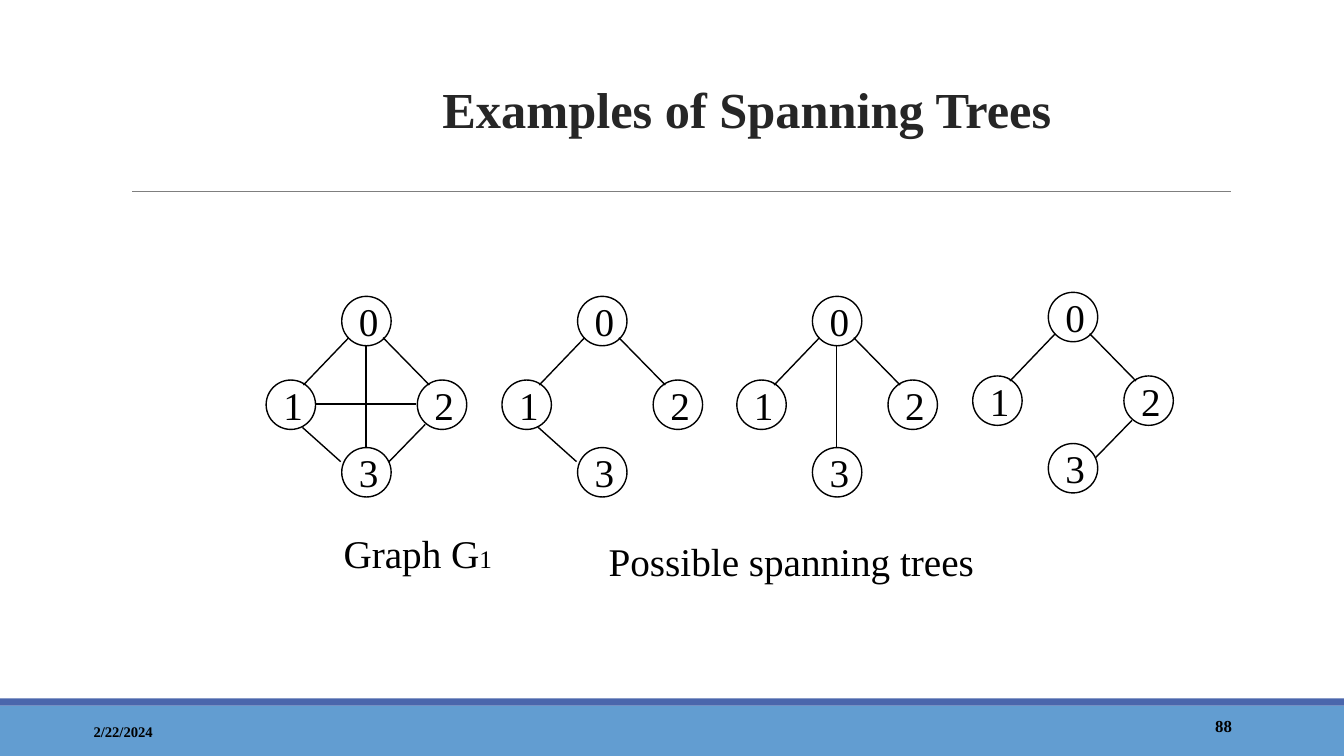
from lxml.etree import SubElement
from pptx import Presentation
from pptx.dml.color import RGBColor
from pptx.enum.shapes import MSO_CONNECTOR, MSO_SHAPE
from pptx.enum.text import MSO_ANCHOR, PP_ALIGN
from pptx.oxml.ns import qn
from pptx.util import Emu, Pt

THEME = {
    "font": "Times New Roman",
    "ink": RGBColor.from_string("000000"),
    "heading": RGBColor.from_string("262626"),
    "paper": RGBColor.from_string("FFFFFF"),
    "rule": RGBColor.from_string("7F7F7F"),
    "footer": RGBColor.from_string("629DD1"),
    "stripe": RGBColor.from_string("4A66AC"),
    "title_size": 36,
    "body_size": 28,
    "subscript_size": 18,
    "page_size": 12,
    "date_size": 10.5,
}

deck = Presentation()
deck.slide_width, deck.slide_height = Emu(12192000), Emu(6858000)
cell = deck.slide_width / 40
page = deck.slides.add_slide(deck.slide_layouts[5])
shapes = page.shapes


def write(box, spans, anchor, align, bold=False, color=THEME["ink"]):
    frame = box.text_frame
    frame.word_wrap = True
    frame.vertical_anchor = anchor
    para = frame.paragraphs[0]
    para.alignment = align
    for text, size in spans:
        span = para.add_run()
        span.text = text
        span.font.color.rgb = color
        for name, value in {"name": THEME["font"], "size": Pt(size), "bold": bold}.items():
            setattr(span.font, name, value)
    return para


def draw_line(points, color, width):
    line = shapes.add_connector(MSO_CONNECTOR.STRAIGHT, *[round(cell * point) for point in points])
    line.line.color.rgb = color
    line.line.width = Pt(width)
    SubElement(line._element.spPr, qn("a:effectLst"))


for top, height, color in [(21, 1.5, "footer"), (20.79, 0.21, "stripe")]:
    band = shapes.add_shape(
        MSO_SHAPE.RECTANGLE, 0, round(cell * top), deck.slide_width, round(cell * height)
    )
    band.shadow.inherit = False
    band.fill.solid()
    band.fill.fore_color.rgb = THEME[color]
    band.line.fill.background()

draw_line((3.93, 5.7, 36.63, 5.7), THEME["rule"], 0.75)

title = shapes.title
title_place = {"left": 5.91, "top": 0.93, "width": 32.64, "height": 3.36}
for name, value in title_place.items():
    setattr(title, name, round(cell * value))
heading = write(
    title, [("Examples of Spanning Trees", THEME["title_size"])],
    MSO_ANCHOR.BOTTOM, PP_ALIGN.CENTER, True, THEME["heading"],
)
heading.line_spacing = 1.1

node_size = 1.47
nodes = {"0": (2.25, 0), "1": (0, 2.49), "2": (4.5, 2.49), "3": (2.25, 4.5)}
edges = {
    "03": (2.97, 1.47, 2.97, 4.47),
    "12": (1.47, 3.21, 4.47, 3.21),
    "01": (2.46, 1.23, 1.11, 2.64),
    "02": (3.48, 1.23, 4.86, 2.64),
    "13": (1.08, 3.9, 2.22, 4.92),
    "23": (4.74, 3.81, 3.66, 4.92),
}
graphs = [
    (7.92, 8.82, ["03", "12", "01", "02", "13", "23"]),
    (14.94, 8.82, ["01", "02", "13"]),
    (21.93, 8.82, ["03", "01", "02"]),
    (28.95, 8.7, ["01", "02", "23"]),
]

for left, top, graph_edges in graphs:
    for label, (column, row) in nodes.items():
        node = shapes.add_shape(
            MSO_SHAPE.OVAL, round(cell * (left + column)), round(cell * (top + row)),
            round(cell * node_size), round(cell * node_size),
        )
        node.shadow.inherit = False
        node.fill.solid()
        node.fill.fore_color.rgb = THEME["paper"]
        node.line.color.rgb = THEME["ink"]
        node.line.width = Pt(1)
        write(node, [(label, THEME["body_size"])], MSO_ANCHOR.MIDDLE, PP_ALIGN.CENTER)
    for edge in graph_edges:
        x1, y1, x2, y2 = edges[edge]
        draw_line((left + x1, top + y1, left + x2, top + y2), THEME["ink"], 1)

labels = [
    ((9.93, 15.6, 5.07, 1.71),
     [("Graph G", THEME["body_size"]), ("1", THEME["subscript_size"])],
     MSO_ANCHOR.TOP, PP_ALIGN.LEFT, False),
    ((17.82, 15.84, 11.49, 1.71), [("Possible spanning trees", THEME["body_size"])],
     MSO_ANCHOR.TOP, PP_ALIGN.LEFT, False),
    ((2.49, 21.18, 9, 1.2), [("2/22/2024", THEME["date_size"])],
     MSO_ANCHOR.MIDDLE, PP_ALIGN.LEFT, True),
    ((32.67, 21, 4.29, 1.2), [("88", THEME["page_size"])],
     MSO_ANCHOR.MIDDLE, PP_ALIGN.RIGHT, True),
]
for place, spans, anchor, align, bold in labels:
    box = shapes.add_textbox(*[round(cell * value) for value in place])
    write(box, spans, anchor, align, bold)

deck.save("out.pptx")
